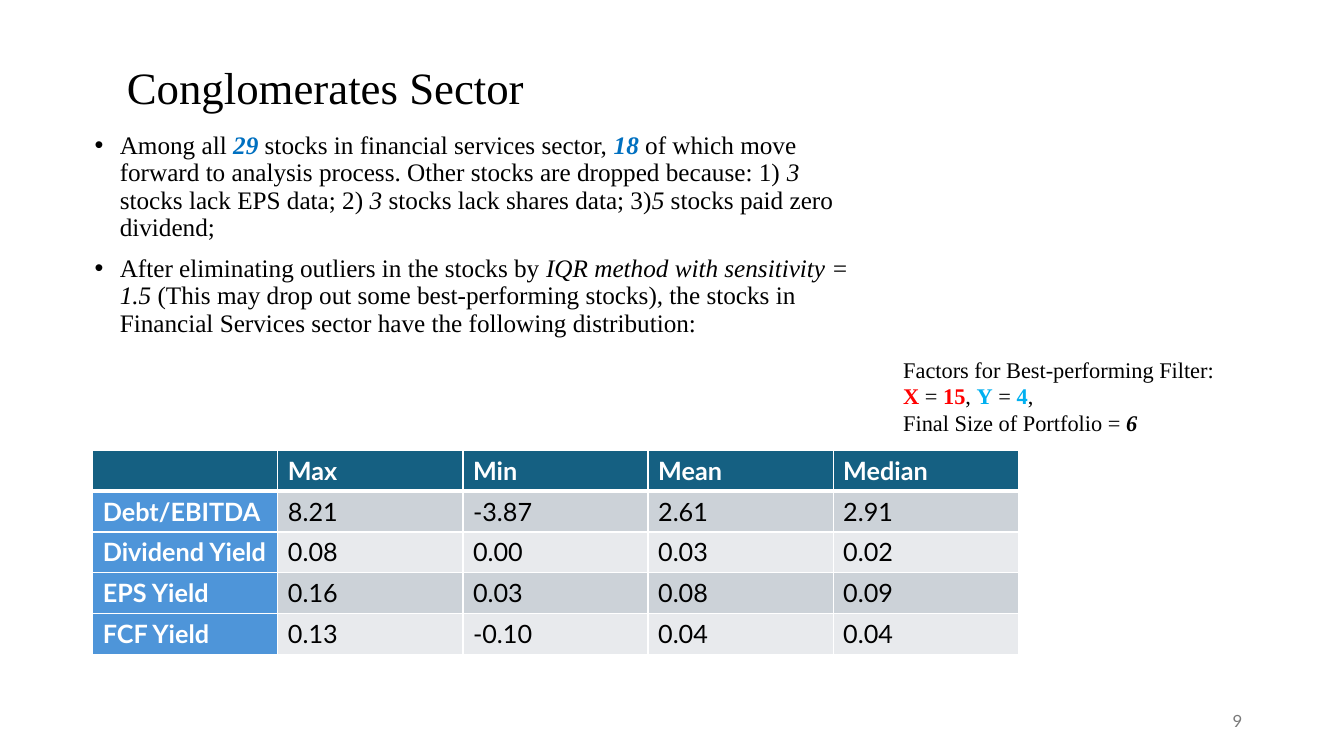
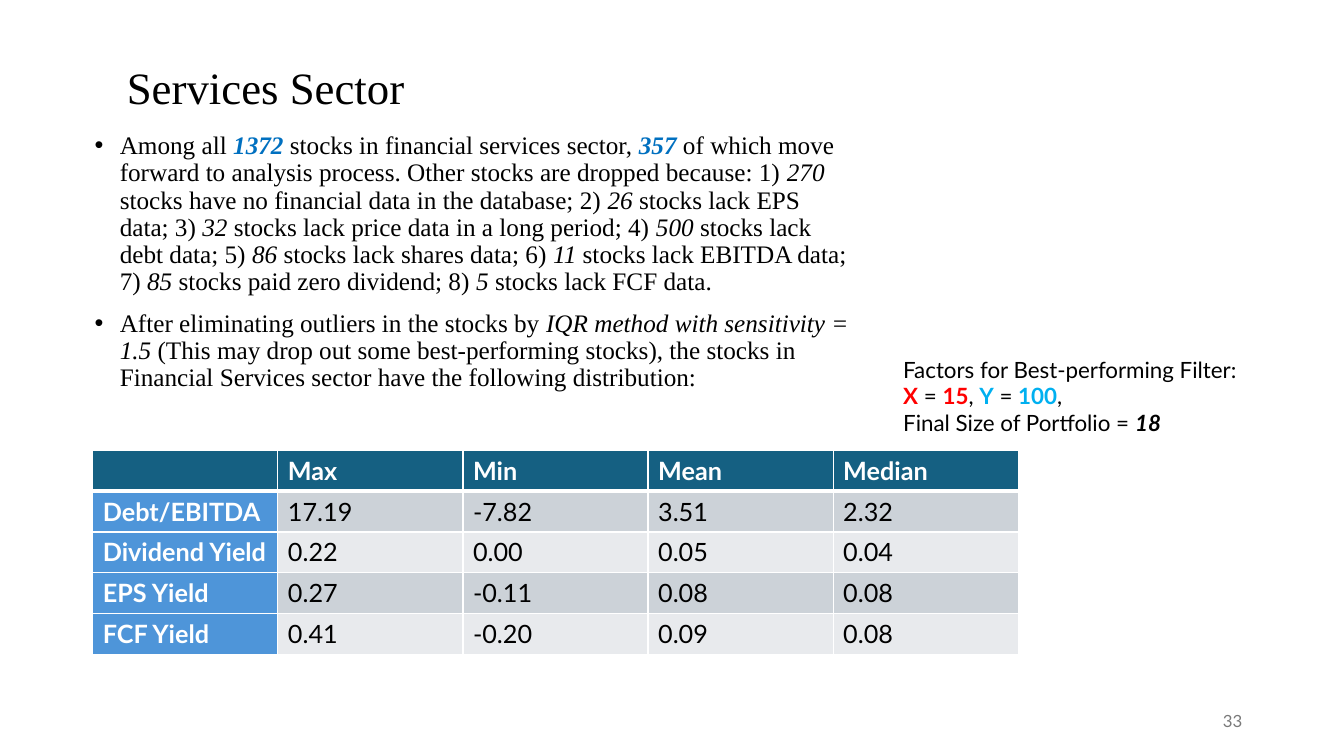
import dataclasses
import itertools
import typing

import pptx
import pptx.dml.color
import pptx.enum.text
import pptx.oxml
import pptx.oxml.ns
import pptx.util

Inches = pptx.util.Inches
Pt = pptx.util.Pt
Align = pptx.enum.text.PP_ALIGN
Anchor = pptx.enum.text.MSO_ANCHOR
AutoSize = pptx.enum.text.MSO_AUTO_SIZE


@dataclasses.dataclass(frozen=True)
class Theme:
    serif: str = "Times New Roman"
    sans: str = "Lato"
    title_size: int = 32
    body_size: int = 18
    factor_size: int = 16
    number_size: int = 12
    ink: str = "000000"
    white: str = "FFFFFF"
    muted: str = "797979"
    count: str = "0070C0"
    x_factor: str = "FF0000"
    y_factor: str = "00B0F0"
    header: str = "156082"
    label: str = "4E95D9"
    bands: tuple[str, str] = ("CCD2D8", "E8EAED")


THEME = Theme()


class Run(typing.NamedTuple):
    text: str
    color: str = THEME.ink
    bold: bool = False
    italic: bool = False


class Box(typing.NamedTuple):
    left: float
    top: float
    width: float
    height: float


@dataclasses.dataclass(frozen=True)
class Sector:
    title: str
    total: str
    kept: str
    dropped: tuple[str, ...]  # plain text and italic counts in turn
    stats: tuple[tuple[str, ...], ...]
    y_value: str
    portfolio: str
    factor_font: str
    number: str


# Shared places and wording
TITLE_BOX = Box(1.16, 0.15, 4.9, 1.48)
BODY_BOX = Box(0.84, 1.27, 7.73, 2.95)
NUMBER_BOX = Box(9.42, 6.95, 3, 0.4)
FACTOR_BOX = Box(8.86, 3.48, 3.56, 0.91)
TABLE_BOX = Box(0.92, 4.47, 9.18, 2.02)
COLUMNS = ("", "Max", "Min", "Mean", "Median")
MEASURES = ("Debt/EBITDA", "Dividend Yield", "EPS Yield", "FCF Yield")
METHOD = (
    Run("After eliminating outliers in the stocks by "),
    Run("IQR method with sensitivity = 1.5 ", italic=True),
    Run("(This may drop out some best-performing stocks), the stocks in "
        "Financial Services sector have the following distribution:"),
)

SECTORS = (
    Sector(
        title="Conglomerates Sector", total="29", kept="18",
        dropped=("1) ", "3", " stocks lack EPS data; 2) ", "3",
                 " stocks lack shares data; 3)", "5", " stocks paid zero dividend;"),
        stats=(("8.21", "-3.87", "2.61", "2.91"),
               ("0.08", "0.00", "0.03", "0.02"),
               ("0.16", "0.03", "0.08", "0.09"),
               ("0.13", "-0.10", "0.04", "0.04")),
        y_value="4", portfolio="6", factor_font=THEME.serif, number="9",
    ),
    Sector(
        title="Services Sector", total="1372", kept="357",
        dropped=("1) ", "270", " stocks have no financial data in the database; 2) ",
                 "26", " stocks lack EPS data; 3) ",
                 "32", " stocks lack price data in a long period; 4) ",
                 "500", " stocks lack debt data; 5) ",
                 "86", " stocks lack shares data; 6) ",
                 "11", " stocks lack EBITDA data; 7) ",
                 "85", " stocks paid zero dividend; 8) ",
                 "5", " stocks lack FCF data."),
        stats=(("17.19", "-7.82", "3.51", "2.32"),
               ("0.22", "0.00", "0.05", "0.04"),
               ("0.27", "-0.11", "0.08", "0.08"),
               ("0.41", "-0.20", "0.09", "0.08")),
        y_value="100", portfolio="18", factor_font=THEME.sans, number="33",
    ),
)


def set_all(target: typing.Any, values: dict[str, typing.Any]) -> None:
    for name, value in values.items():
        setattr(target, name, value)


def inches(box: Box) -> tuple[int, ...]:
    return tuple(Inches(length) for length in box)


def add_runs(paragraph, runs: typing.Iterable[Run], font: str, size: int) -> None:
    for piece in runs:
        run = paragraph.add_run()
        run.text = piece.text
        set_all(run.font, {"name": font, "size": Pt(size),
                           "bold": piece.bold, "italic": piece.italic})
        run.font.color.rgb = pptx.dml.color.RGBColor.from_string(piece.color)


def add_text(slide, box: Box, lines: typing.Sequence[typing.Sequence[Run]],
             font: str, size: int, frame_format: dict | None = None,
             line_format: dict | None = None) -> list:
    """Write one paragraph for each line and return the paragraphs."""
    frame = slide.shapes.add_textbox(*inches(box)).text_frame
    set_all(frame, {"word_wrap": True, **(frame_format or {})})
    paragraphs = [frame.paragraphs[0], *(frame.add_paragraph() for _ in lines[1:])]
    for paragraph, runs in zip(paragraphs, lines):
        set_all(paragraph, line_format or {})
        add_runs(paragraph, runs, font, size)
    return paragraphs


def add_bullet(paragraph) -> None:
    props = paragraph._p.get_or_add_pPr()
    props.set("marL", str(Inches(0.25)))
    props.set("indent", str(-Inches(0.25)))
    namespace = pptx.oxml.ns.nsdecls("a")
    for xml in (f'<a:buFont {namespace} typeface="Arial"/>',
                f'<a:buChar {namespace} char="•"/>'):
        props.append(pptx.oxml.parse_xml(xml))


def add_borders(cell, widths: dict[str, float]) -> None:
    props = cell._tc.get_or_add_tcPr()
    for position, (side, width) in enumerate(widths.items()):
        props.insert(position, pptx.oxml.parse_xml(
            f'<a:ln{side} {pptx.oxml.ns.nsdecls("a")} w="{Pt(width)}">'
            f'<a:solidFill><a:srgbClr val="{THEME.white}"/></a:solidFill></a:ln{side}>'))


def add_stats(slide, stats: tuple[tuple[str, ...], ...]) -> None:
    rows = [COLUMNS, *((name, *values) for name, values in zip(MEASURES, stats))]
    table = slide.shapes.add_table(len(rows), len(COLUMNS), *inches(TABLE_BOX)).table
    set_all(table, {"first_row": False, "horz_banding": False})
    for column in table.columns:
        column.width = Inches(TABLE_BOX.width / len(COLUMNS))
    for row in table.rows:
        row.height = Inches(TABLE_BOX.height / len(rows))

    for r, c in itertools.product(range(len(rows)), range(len(COLUMNS))):
        cell = table.cell(r, c)
        heading = r == 0 or c == 0
        if r == 0:
            fill = THEME.header
        else:
            fill = THEME.label if c == 0 else THEME.bands[(r - 1) % 2]
        cell.fill.solid()
        cell.fill.fore_color.rgb = pptx.dml.color.RGBColor.from_string(fill)
        # The rule under the header is thicker
        add_borders(cell, {"L": 1, "R": 1, "T": 3 if r == 1 else 1, "B": 3 if r == 0 else 1})
        color = THEME.white if heading else THEME.ink
        add_runs(cell.text_frame.paragraphs[0], [Run(rows[r][c], color, heading)],
                 THEME.sans, THEME.body_size)


def add_sector(deck, sector: Sector) -> None:
    slide = deck.slides.add_slide(deck.slide_layouts[6])

    # Title
    add_text(slide, TITLE_BOX, [[Run(sector.title)]], THEME.serif, THEME.title_size,
             {"vertical_anchor": Anchor.MIDDLE}, {"line_spacing": 0.9})

    # Screening and method
    screening = [
        Run("Among all "), Run(sector.total, THEME.count, True, True),
        Run(" stocks in financial services sector, "),
        Run(sector.kept, THEME.count, True, True),
        Run(" of which move forward to analysis process. "
            "Other stocks are dropped because: "),
        *(Run(text, italic=italic)
          for text, italic in zip(sector.dropped, itertools.cycle((False, True)))),
    ]
    for paragraph in add_text(slide, BODY_BOX, [screening, METHOD], THEME.serif,
                              THEME.body_size, line_format={
                                  "line_spacing": 0.9, "space_before": Pt(10)}):
        add_bullet(paragraph)

    # Slide number
    add_text(slide, NUMBER_BOX, [[Run(sector.number, THEME.muted)]], THEME.sans,
             THEME.number_size, {"vertical_anchor": Anchor.MIDDLE},
             {"alignment": Align.RIGHT})

    # Distribution
    add_stats(slide, sector.stats)

    # Filter factors
    factors = [
        [Run("Factors for Best-performing Filter:")],
        [Run("X", THEME.x_factor, True), Run(" = "), Run("15", THEME.x_factor, True),
         Run(", "), Run("Y", THEME.y_factor, True), Run(" = "),
         Run(sector.y_value, THEME.y_factor, True), Run(",")],
        [Run("Final Size of Portfolio = "),
         Run(sector.portfolio, bold=True, italic=True)],
    ]
    add_text(slide, FACTOR_BOX, factors, sector.factor_font, THEME.factor_size,
             {"auto_size": AutoSize.SHAPE_TO_FIT_TEXT})


def main() -> None:
    deck = pptx.Presentation()
    set_all(deck, {"slide_width": Inches(13.33), "slide_height": Inches(7.5)})
    for sector in SECTORS:
        add_sector(deck, sector)
    deck.save("out.pptx")


if __name__ == "__main__":
    main()
